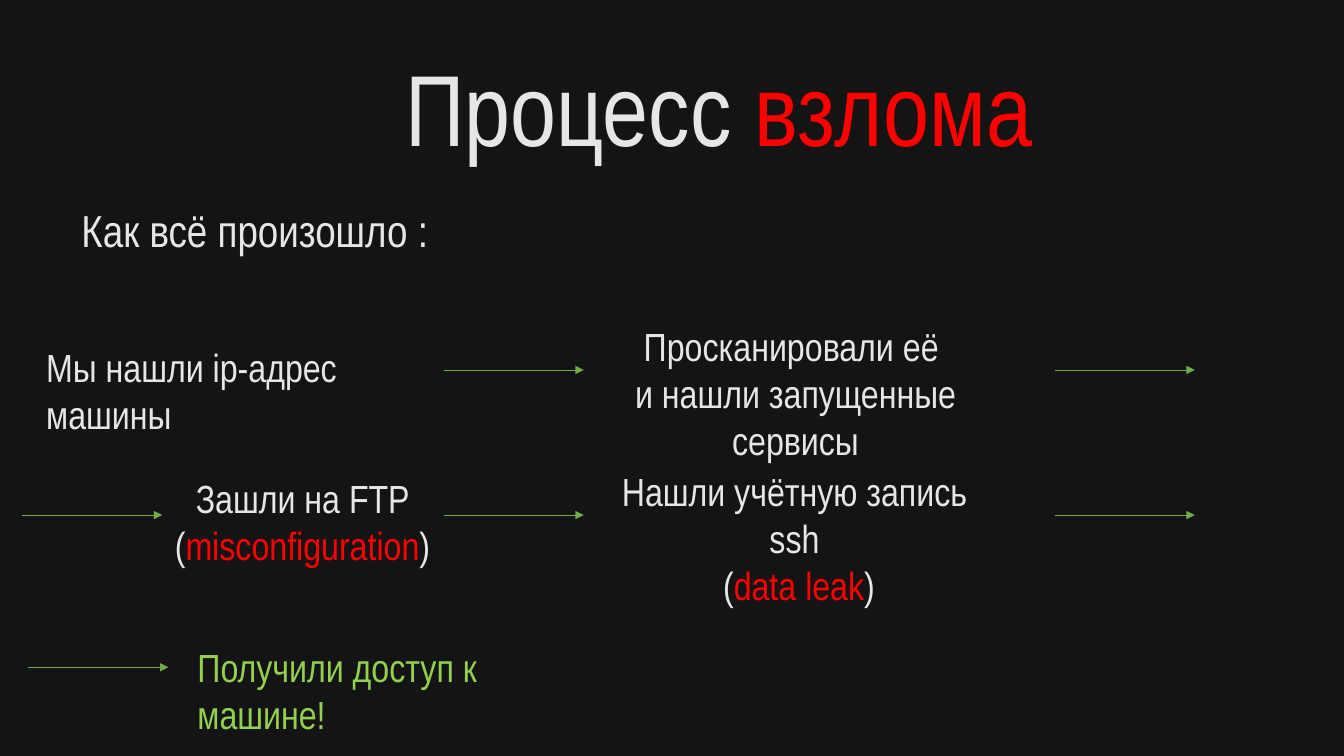
import pptx
import pptx.dml.color
import pptx.enum.shapes
import pptx.enum.text
import pptx.util
from lxml import etree

BACKGROUND, LIGHT, RED, GREEN, ARROW = "141414", "E7E6E6", "FF0000", "92D050", "70AD47"
FONT = "Arial Narrow"
LEFT = pptx.enum.text.PP_ALIGN.LEFT
CENTER = pptx.enum.text.PP_ALIGN.CENTER

TITLE = [[("Процесс ", LIGHT), ("взлома", RED)]]
SUBTITLE = [[("Как всё произошло :", LIGHT)]]
STEPS = [
    (0.36, 3.36, 3.92, 0.57, LEFT, [[("Мы нашли ip-адрес машины", LIGHT)]]),
    (5.79, 3.15, 4.2, 1.04, CENTER, [
        [("Просканировали её ", LIGHT)],
        [("и нашли запущенные сервисы", LIGHT)],
    ]),
    (0.9, 4.66, 4.2, 1.04, CENTER, [
        [("Зашли на FTP (", LIGHT), ("misconfiguration", RED), (")", LIGHT)],
    ]),
    (5.78, 4.59, 4.2, 1.04, CENTER, [
        [("Нашли учётную запись ssh", LIGHT)],
        [(" (", LIGHT), ("data leak", RED), (")", LIGHT)],
    ]),
    (1.86, 6.33, 3.92, 0.57, LEFT, [[("Получили доступ к машине!", GREEN)]]),
]
ARROW_LENGTH = 1.39
ARROW_ROWS = [(3.67, [4.4, 10.46]), (5.11, [0.22, 4.4, 10.46]), (6.62, [0.28])]


def color(value):
    return pptx.dml.color.RGBColor.from_string(value)


def add_text(slide, left, top, width, height, align, paragraphs, size=28):
    box = slide.shapes.add_textbox(*map(pptx.util.Inches, (left, top, width, height)))
    frame = box.text_frame
    frame.word_wrap = True
    for index, runs in enumerate(paragraphs):
        paragraph = frame.add_paragraph() if index else frame.paragraphs[0]
        paragraph.alignment = align
        paragraph.font.name = FONT
        paragraph.font.size = pptx.util.Pt(size)
        for text, shade in runs:
            run = paragraph.add_run()
            run.text = text
            run.font.color.rgb = color(shade)
    return frame


def add_arrow(slide, left, top):
    start, end, level = map(pptx.util.Inches, (left, left + ARROW_LENGTH, top))
    straight = pptx.enum.shapes.MSO_CONNECTOR.STRAIGHT
    arrow = slide.shapes.add_connector(straight, start, level, end, level)
    arrow.line.color.rgb = color(ARROW)
    arrow.line.width = pptx.util.Pt(0.5)
    namespace = pptx.oxml.ns.qn
    etree.SubElement(arrow.line._get_or_add_ln(), namespace("a:tailEnd"), type="triangle")
    etree.SubElement(arrow._element.spPr, namespace("a:effectLst"))


def main():
    presentation = pptx.Presentation()
    presentation.slide_width = pptx.util.Inches(13.33)
    presentation.slide_height = pptx.util.Inches(7.5)
    slide = presentation.slides.add_slide(presentation.slide_layouts[6])
    slide.background.fill.solid()
    slide.background.fill.fore_color.rgb = color(BACKGROUND)

    title = add_text(slide, 3.92, 0.4, 8.5, 1.45, LEFT, TITLE, 72)
    title.vertical_anchor = pptx.enum.text.MSO_ANCHOR.MIDDLE
    title.paragraphs[0].line_spacing = 0.9
    add_text(slide, 0.71, 1.96, 11.5, 0.64, LEFT, SUBTITLE, 32)
    for step in STEPS:
        add_text(slide, *step)
    for top, lefts in ARROW_ROWS:
        for left in lefts:
            add_arrow(slide, left, top)
    presentation.save("out.pptx")


if __name__ == "__main__":
    main()
